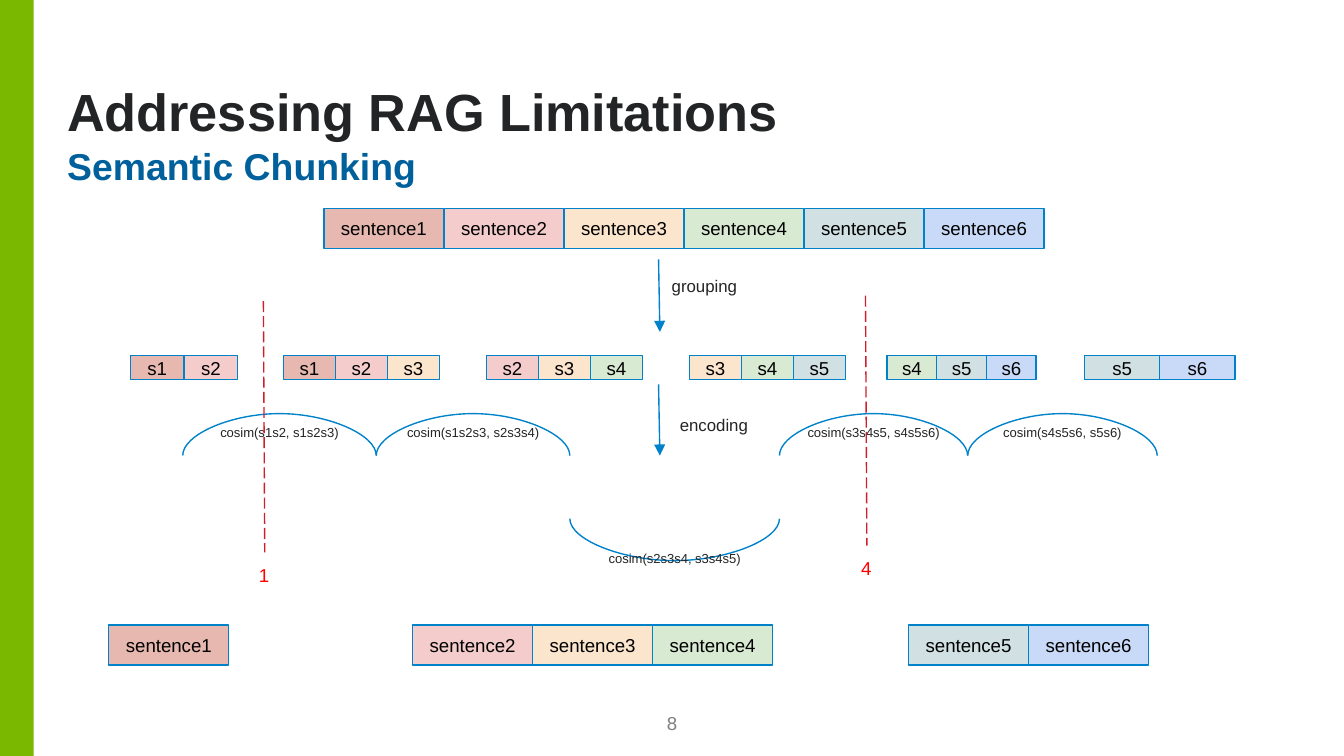
import itertools
from dataclasses import dataclass

import pptx
import pptx.dml.color
import pptx.enum.dml
import pptx.enum.shapes
import pptx.enum.text
import pptx.util
from pptx.oxml.ns import qn

COLORS = {
    "bar": "7AB800", "title": "232425", "subtitle": "00609C", "number": "7F7F7F",
    "outline": "0082CA", "cut": "CD202C", "cut_label": "FF0000", "black": "000000",
}
SENTENCE_FILLS = ["E6B8AF", "F4CCCC", "FCE5CD", "D9EAD3", "D0E0E3", "C9DAF8"]

# The slide is 16:9, on a grid of 100 columns with square cells
SLIDE_WIDTH = pptx.util.Inches(10)
SLIDE_HEIGHT = SLIDE_WIDTH * 9 // 16
ROWS = 100 * 9 / 16
SENTENCE_WIDTH, SENTENCE_HEIGHT = 8.93, 3

ALIGN = pptx.enum.text.PP_ALIGN
ANCHOR = pptx.enum.text.MSO_ANCHOR
FIT = pptx.enum.text.MSO_AUTO_SIZE
SHAPE = pptx.enum.shapes.MSO_SHAPE
CONNECTOR = pptx.enum.shapes.MSO_CONNECTOR


@dataclass
class Box:
    left: float
    top: float
    width: float
    height: float

    def emu(self):
        return [grid(n) for n in (self.left, self.top, self.width, self.height)]


def grid(cells):
    return round(SLIDE_WIDTH * cells / 100)


def rgb(name):
    return pptx.dml.color.RGBColor.from_string(COLORS.get(name, name))


def write(shape, text, size, color, align=ALIGN.LEFT, anchor=ANCHOR.TOP,
          inset=1, bold=False, spacing=None, fit=FIT.NONE):
    frame = shape.text_frame
    frame.text = text
    frame.word_wrap = True
    frame.auto_size = fit
    frame.vertical_anchor = anchor
    frame.margin_left = frame.margin_right = grid(inset)
    frame.margin_top = frame.margin_bottom = grid(inset)
    paragraph = frame.paragraphs[0]
    paragraph.alignment = align
    paragraph.space_before = pptx.util.Pt(0)
    if spacing:
        paragraph.line_spacing = spacing
    font = paragraph.runs[0].font
    font.name, font.size, font.bold = "Arial", pptx.util.Pt(size), bold
    font.color.rgb = rgb(color)


def label(slide, box, text, size, color, **style):
    write(slide.shapes.add_textbox(*box.emu()), text, size, color, **style)


def connect(slide, kind, start, end, color):
    line = slide.shapes.add_connector(kind, *start, *end)
    line.line.color.rgb = rgb(color)
    line.line.width = pptx.util.Pt(0.75)
    properties = line._element.spPr
    properties.append(properties.makeelement(qn("a:effectLst"), {}))
    return line


def heading(slide, box):
    """Title above its subtitle."""
    title, subtitle = slide.shapes.title, slide.placeholders[1]
    title_box = Box(box.left, box.top, box.width, 6.8)
    subtitle_box = Box(box.left, box.top + 7.1, box.width, 4.1)
    for part, place in ((title, title_box), (subtitle, subtitle_box)):
        part.left, part.top, part.width, part.height = place.emu()
    write(title, "Addressing RAG Limitations", 28, "title", anchor=ANCHOR.BOTTOM,
          inset=0, bold=True, spacing=0.95)
    write(subtitle, "Semantic Chunking", 20, "subtitle", inset=0, bold=True, spacing=0.9)
    settings = subtitle.text_frame.paragraphs[0]._p.get_or_add_pPr()
    settings.set("marL", "0")
    settings.set("indent", "0")
    settings.append(settings.makeelement(qn("a:buNone"), {}))


def side_bar(slide, box):
    bar = slide.shapes.add_shape(SHAPE.RECTANGLE, *box.emu())
    bar.shadow.inherit = False
    bar.fill.solid()
    bar.fill.fore_color.rgb = rgb("bar")
    bar.line.fill.background()


def sentence_run(shapes, box, first, last, prefix):
    """Equal cells for sentences first to last, filling the box."""
    width = box.width / (last - first + 1)
    for number in range(first, last + 1):
        place = Box(box.left + (number - first) * width, box.top, width, box.height)
        cell = shapes.add_shape(SHAPE.RECTANGLE, *place.emu())
        cell.shadow.inherit = False
        cell.fill.solid()
        cell.fill.fore_color.rgb = rgb(SENTENCE_FILLS[number - 1])
        cell.line.color.rgb = rgb("outline")
        cell.line.width = pptx.util.Pt(0.75)
        write(cell, f"{prefix}{number}", 10, "black", ALIGN.CENTER, ANCHOR.MIDDLE)


def full_sentences(shapes, left, top, first, last):
    width = SENTENCE_WIDTH * (last - first + 1)
    sentence_run(shapes, Box(left, top, width, SENTENCE_HEIGHT), first, last, "sentence")


def step(slide, box, text, text_left, text_top):
    """Downward arrow with the step's name on its right."""
    arrow = connect(slide, CONNECTOR.STRAIGHT, (grid(box.left), grid(box.top)),
                    (grid(box.left + 0.1), grid(box.top + box.height)), "outline")
    stroke = arrow.line._get_or_add_ln()
    stroke.append(stroke.makeelement(qn("a:tailEnd"), {"type": "triangle"}))
    place = Box(box.left + text_left, box.top + text_top, box.width, 2)
    label(slide, place, text, 9, "title")


def similarity(slide, box, text, upward):
    """Curve between two groups, with their similarity by its crest."""
    middle = grid(box.left + box.width / 2)
    base = grid(box.top + (box.height if upward else 0))
    half_span, half_depth = grid(box.width / 2), 300
    # Drawn upright, then turned; the adjustment is the bulge over the depth
    curve = connect(slide, CONNECTOR.CURVE, (middle + half_depth, base - half_span),
                    (middle - half_depth, base + half_span), "outline")
    curve.rotation = 270
    bulge = round(grid(box.height) / (2 * half_depth) * 100000)
    guides = curve._element.spPr.find(qn("a:prstGeom")).get_or_add_avLst()
    guides.append(guides.makeelement(
        qn("a:gd"), {"name": "adj1", "fmla": f"val {-bulge if upward else bulge}"}))
    text_top = box.top - 0.3 if upward else box.top + 1.8
    place = Box(box.left + box.width / 2 - 6.2, text_top, 12.4, 3.2)
    label(slide, place, text, 7, "title", align=ALIGN.CENTER, fit=FIT.SHAPE_TO_FIT_TEXT)


def cut(slide, box, text):
    """Dashed split line with its number below."""
    line = connect(slide, CONNECTOR.STRAIGHT, (grid(box.left), grid(box.top)),
                   (grid(box.left + 0.1), grid(box.top + box.height)), "cut")
    line.line.dash_style = pptx.enum.dml.MSO_LINE.LONG_DASH
    place = Box(box.left - 1.7, box.top + box.height, box.width, 3.7)
    label(slide, place, text, 10, "cut_label", align=ALIGN.CENTER,
          fit=FIT.SHAPE_TO_FIT_TEXT)


def main():
    deck = pptx.Presentation()
    deck.slide_width, deck.slide_height = SLIDE_WIDTH, SLIDE_HEIGHT
    slide = deck.slides.add_slide(deck.slide_layouts[1])
    side_bar(slide, Box(0, 0, 2.5, ROWS))
    heading(slide, Box(5, 3.9, 91.6, 11.2))
    label(slide, Box(47.5, 53.1, 5, 1.5), "8", 10, "number", align=ALIGN.CENTER,
          anchor=ANCHOR.BOTTOM, inset=0)

    # Sentences, then overlapping groups: left, width, first, last
    full_sentences(slide.shapes, 24.1, 15.5, 1, 6)
    groups = [(9.7, 8, 1, 2), (21.1, 11.6, 1, 3), (36.2, 11.6, 2, 4),
              (51.3, 11.6, 3, 5), (66, 11.1, 4, 6), (80.7, 11.2, 5, 6)]
    for left, width, first, last in groups:
        group = slide.shapes.add_group_shape().shapes
        sentence_run(group, Box(left, 26.45, width, 1.8), first, last, "s")

    step(slide, Box(49, 19.3, 8.4, 5.4), "grouping", 0, 0.25)
    step(slide, Box(49, 28.6, 7.3, 5.3), "encoding", 0.6, 1.25)

    # Similarity of each pair of neighbouring groups
    names = ["".join(f"s{n}" for n in range(first, last + 1))
             for _, _, first, last in groups]
    ends = [13.6, 28, 42.4, 58, 72, 86.1]
    pairs = zip(itertools.pairwise(ends), itertools.pairwise(names))
    for (left, right), (before, after) in pairs:
        upward = before != "s2s3s4"
        box = Box(left, 31.3 if upward else 38.6, right - left, 2.6)
        similarity(slide, box, f"cosim({before}, {after})", upward)

    cut(slide, Box(19.6, 22.4, 3.5, 18.7), "1")
    cut(slide, Box(64.4, 22, 3.5, 18.6), "4")

    # Resulting chunks
    full_sentences(slide.shapes, 8.1, 46.5, 1, 1)
    for left, first, last in ((30.7, 2, 4), (67.6, 5, 6)):
        full_sentences(slide.shapes.add_group_shape().shapes, left, 46.5, first, last)
    deck.save("out.pptx")


if __name__ == "__main__":
    main()
